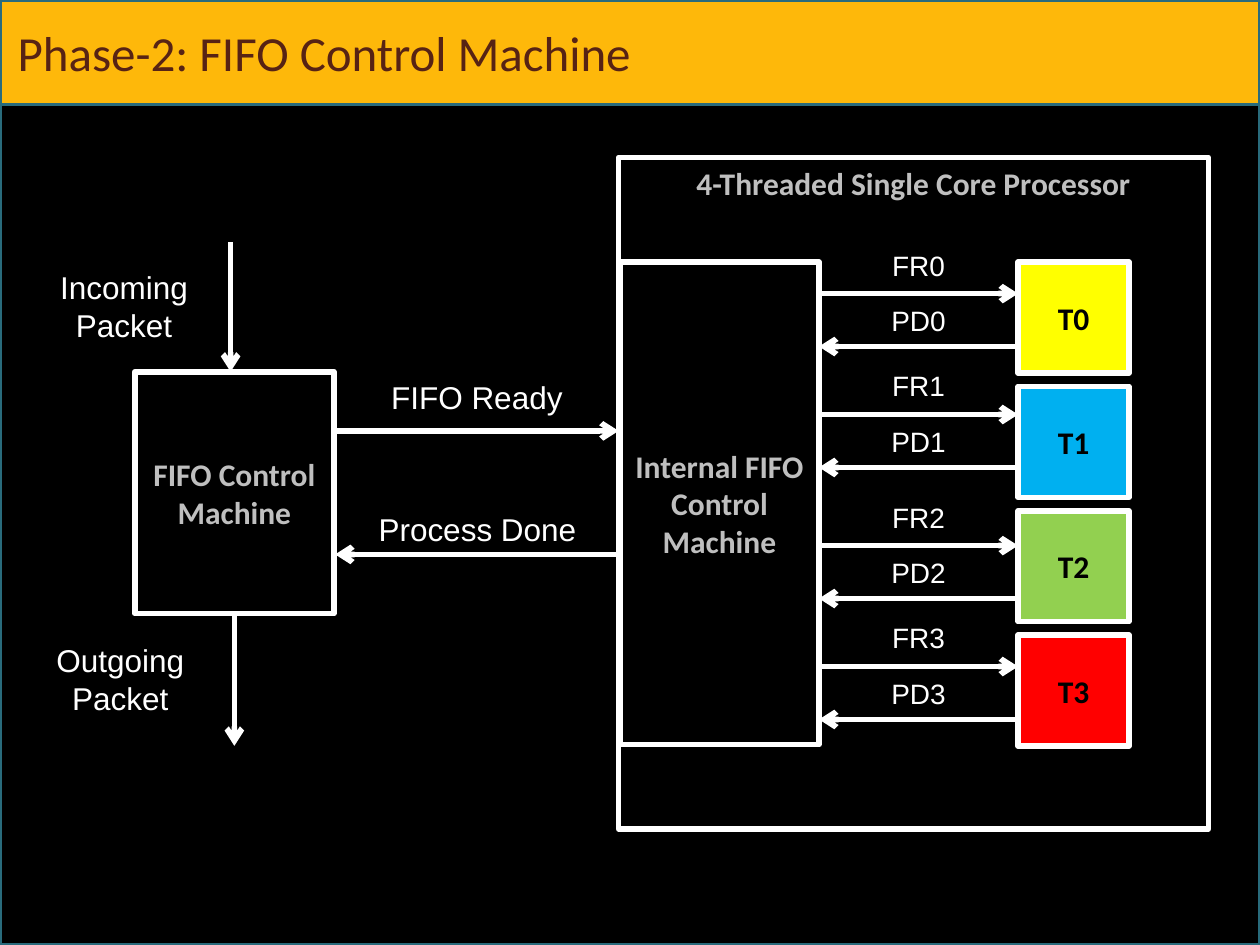
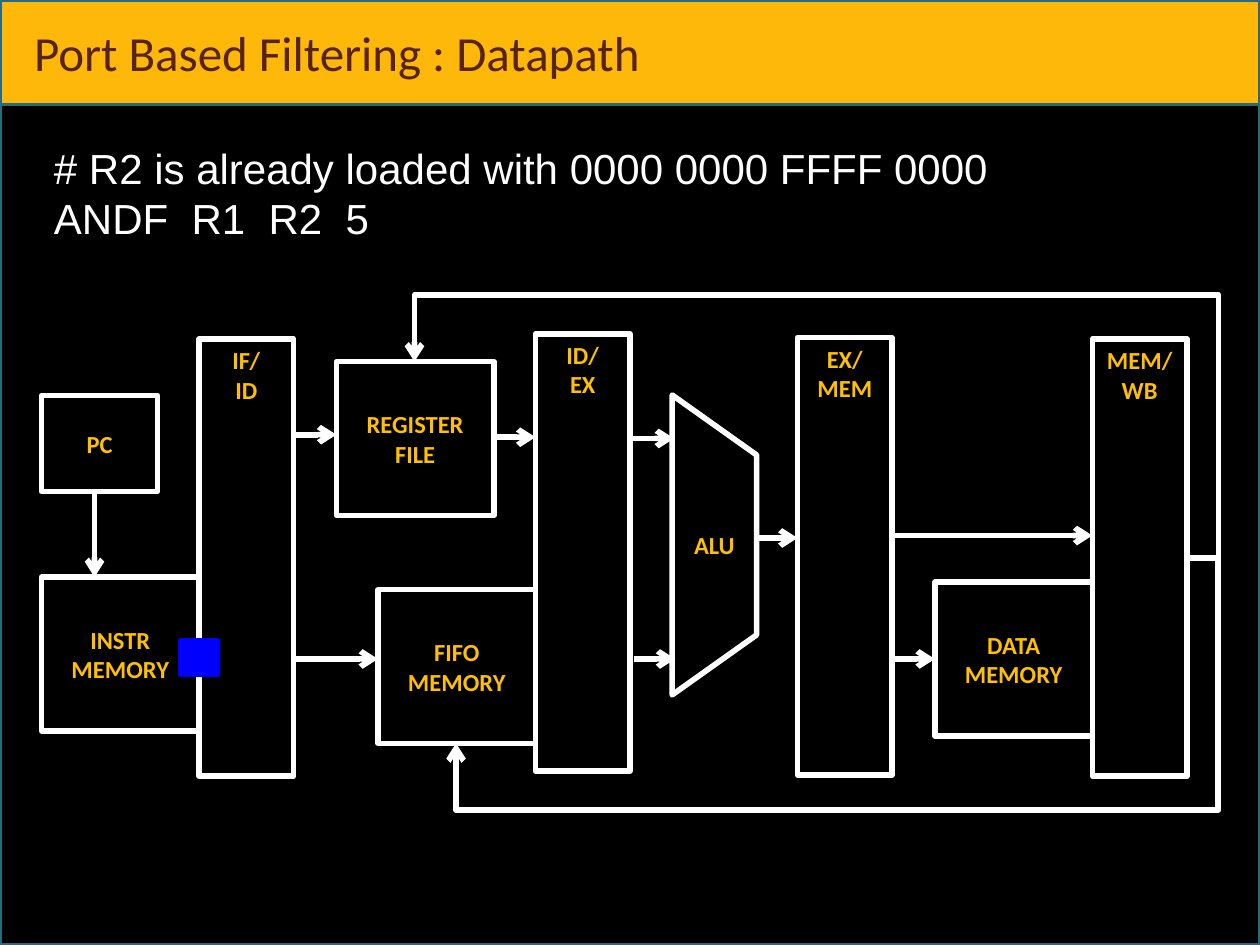
from dataclasses import dataclass

from lxml.etree import SubElement
from pptx import Presentation
from pptx.dml.color import RGBColor
from pptx.enum.shapes import MSO_CONNECTOR as Connector, MSO_SHAPE as Shape
from pptx.enum.text import MSO_ANCHOR as Anchor, PP_ALIGN as Align
from pptx.oxml.ns import qn
from pptx.util import Inches, Pt


@dataclass(frozen=True)
class Theme:
    background: str = "000000"
    band: str = "FEB80A"
    frame: str = "296B7C"
    title: str = "572314"
    line: str = "FFFFFF"
    label: str = "FFFFFF"
    machine: str = "BFBFBF"
    thread: str = "000000"
    stage: str = "FFC000"
    marker: str = "0000FF"
    heading_font: str = "Calibri"
    label_font: str = "Arial"
    title_size: float = 28
    code_size: float = 24
    text_size: float = 18
    signal_size: float = 16
    stage_size: float = 14
    line_width: float = 3.2
    frame_width: float = 2


THEME = Theme()
SLIDE_SIZE = (10, 7.5)
BAND_HEIGHT = 0.83

FIFO_TITLE = ("Phase-2: FIFO Control Machine", 0.04, 8.2)
MACHINES = [
    ("4-Threaded Single Core Processor", (4.91, 1.25, 4.68, 5.33), Anchor.TOP),
    ("FIFO Control Machine", (1.07, 2.95, 1.58, 1.92), Anchor.MIDDLE),
    ("Internal FIFO Control Machine", (4.92, 2.08, 1.58, 3.83), Anchor.MIDDLE),
]
PACKET_LABELS = [
    ("FIFO Ready", (2.66, 2.95, 2.25, 0.4)),
    ("Process Done", (2.66, 4, 2.26, 0.4)),
    ("Incoming Packet", (0.11, 2.08, 1.75, 0.71)),
    ("Outgoing Packet", (0.08, 5.04, 1.75, 0.71)),
]
PACKET_ARROWS = [
    ((2.66, 3.42), (4.91, 3.42)),
    ((4.91, 4.4), (2.66, 4.4)),
    ((1.83, 1.92), (1.83, 2.95)),
    ((1.86, 4.88), (1.86, 5.92)),
]
THREADS = [("FFFF00", 2.33), ("00B0F0", 3.29), ("92D050", 4.33), ("FF0000", 5.29)]
THREAD_LEFT, THREAD_TOP, THREAD_SIZE, THREAD_PITCH = 8.08, 2.08, 0.88, 0.987
SIGNAL_LEFT, SIGNAL_HEIGHT = 6.5, 0.37
READY_LABEL_RISE, DONE_LABEL_DROP, DONE_DROP = 0.41, 0.03, 0.42

DATAPATH_TITLE = ("Port Based Filtering : Datapath", 0.17, 9.75)
CODE_LINES = ["# R2 is already loaded with 0000 0000 FFFF 0000", "ANDF  R1  R2  5"]
CODE_AREA = (0.33, 1.08, 7.92, 0.91)
REGISTER_SIZE = (0.75, 3.47)
PIPELINE_REGISTERS = [
    (["IF/", "ID"], 1.58, 2.69),
    (["ID/", "EX"], 4.25, 2.65),
    (["EX/", "MEM"], 6.33, 2.68),
    (["MEM/WB"], 8.67, 2.69),
]
UNIT_SIZE = (1.25, 1.22)
UNITS = [
    ("FIFO MEMORY", 3, 4.68, UNIT_SIZE),
    ("REGISTER FILE", 2.67, 2.87, UNIT_SIZE),
    ("DATA MEMORY", 7.42, 4.62, UNIT_SIZE),
    ("INSTR MEMORY", 0.33, 4.58, UNIT_SIZE),
    ("PC", 0.33, 3.14, (0.92, 0.76)),
]
ALU_AREA = (4.48, 3.99, 2.38, 0.67)
MARKER_AREA = (1.43, 5.08, 0.3, 0.28)
DATAPATH_ARROWS = [
    ((0.75, 3.9), (0.75, 4.58)),
    ((2.33, 5.23), (3, 5.23)),
    ((2.33, 3.45), (2.67, 3.45)),
    ((3.92, 3.47), (4.25, 3.47)),
    ((5.02, 3.48), (5.35, 3.48)),
    ((5.03, 5.23), (5.36, 5.23)),
    ((6, 4.27), (6.33, 4.27)),
    ((7.08, 5.23), (7.42, 5.23)),
    ((7.08, 4.25), (8.67, 4.25)),
]
WRITE_BACK_START = (9.42, 4.43)
WRITE_BACK_RIGHT = 9.67
WRITE_BACKS = [((3.29, 2.87), 2.34), ((3.62, 5.9), 6.43)]


def color(value):
    return RGBColor.from_string(value)


def write(shape, lines, size, ink, font, bold=False, align=Align.CENTER, anchor=Anchor.MIDDLE):
    frame = shape.text_frame
    frame.word_wrap = True
    frame.vertical_anchor = anchor
    for index, line in enumerate(lines):
        paragraph = frame.add_paragraph() if index else frame.paragraphs[0]
        paragraph.alignment = align
        run = paragraph.add_run()
        run.text = line
        run.font.size = Pt(size)
        run.font.name = font
        run.font.bold = bold
        run.font.color.rgb = color(ink)


def add_box(slide, area, fill=None, line=THEME.line, width=THEME.line_width,
            kind=Shape.FLOWCHART_PROCESS):
    shape = slide.shapes.add_shape(kind, *map(Inches, area))
    shape.shadow.inherit = False
    if fill:
        shape.fill.solid()
        shape.fill.fore_color.rgb = color(fill)
    else:
        shape.fill.background()
    shape.line.color.rgb = color(line)
    shape.line.width = Pt(width)
    return shape


def add_stage(slide, lines, area, anchor=Anchor.MIDDLE, kind=Shape.FLOWCHART_PROCESS):
    shape = add_box(slide, area, THEME.background, kind=kind)
    write(shape, lines, THEME.stage_size, THEME.stage, THEME.heading_font, True, anchor=anchor)
    return shape


def add_label(slide, lines, area, size=THEME.text_size, align=Align.CENTER):
    box = slide.shapes.add_textbox(*map(Inches, area))
    write(box, lines, size, THEME.label, THEME.label_font, align=align, anchor=Anchor.TOP)


def add_arrow(slide, start, end, kind=Connector.STRAIGHT):
    arrow = slide.shapes.add_connector(kind, *map(Inches, start + end))
    arrow.line.color.rgb = color(THEME.line)
    arrow.line.width = Pt(THEME.line_width)
    properties = arrow._element.spPr
    SubElement(properties.find(qn("a:ln")), qn("a:tailEnd"), type="arrow")
    SubElement(properties, qn("a:effectLst"))
    return arrow


def add_write_back(slide, start, end, turn_x, turn_y):
    arrow = add_arrow(slide, start, end, Connector.ELBOW)
    geometry = arrow._element.spPr.find(qn("a:prstGeom"))
    geometry.set("prst", "bentConnector4")
    guides = geometry.find(qn("a:avLst"))
    turns = zip((turn_x, turn_y), start, end)
    for number, (turn, first, last) in enumerate(turns, 1):
        ratio = round((turn - first) / (last - first) * 100000)
        SubElement(guides, qn("a:gd"), name=f"adj{number}", fmla=f"val {ratio}")


def add_slide(presentation, text, left, width):
    slide = presentation.slides.add_slide(presentation.slide_layouts[5])
    for height, fill in ((SLIDE_SIZE[1], THEME.background), (BAND_HEIGHT, THEME.band)):
        add_box(slide, (0, 0, SLIDE_SIZE[0], height), fill, THEME.frame,
                THEME.frame_width, Shape.RECTANGLE)
    title = slide.shapes.title
    slide.shapes._spTree.append(title._element)
    title.left, title.top = Inches(left), Inches(0)
    title.width, title.height = Inches(width), Inches(BAND_HEIGHT)
    write(title, [text], THEME.title_size, THEME.title, THEME.heading_font, align=Align.LEFT)
    return slide


def build_fifo_slide(presentation):
    slide = add_slide(presentation, *FIFO_TITLE)
    for text, area, anchor in MACHINES:
        write(add_box(slide, area), [text], THEME.text_size, THEME.machine,
              THEME.heading_font, True, anchor=anchor)
    for text, area in PACKET_LABELS:
        add_label(slide, [text], area)
    for start, end in PACKET_ARROWS:
        add_arrow(slide, start, end)

    signal_width = THREAD_LEFT - SIGNAL_LEFT
    for index, (fill, ready_y) in enumerate(THREADS):
        top = THREAD_TOP + index * THREAD_PITCH
        thread = add_box(slide, (THREAD_LEFT, top, THREAD_SIZE, THREAD_SIZE), fill)
        write(thread, [f"T{index}"], THEME.text_size, THEME.thread, THEME.heading_font, True)
        done_y = ready_y + DONE_DROP
        add_arrow(slide, (SIGNAL_LEFT, ready_y), (THREAD_LEFT, ready_y))
        add_arrow(slide, (THREAD_LEFT, done_y), (SIGNAL_LEFT, done_y))
        for name, label_y in (("FR", ready_y - READY_LABEL_RISE),
                              ("PD", ready_y + DONE_LABEL_DROP)):
            add_label(slide, [f"{name}{index}"],
                      (SIGNAL_LEFT, label_y, signal_width, SIGNAL_HEIGHT), THEME.signal_size)


def build_datapath_slide(presentation):
    slide = add_slide(presentation, *DATAPATH_TITLE)
    for lines, left, top in PIPELINE_REGISTERS:
        add_stage(slide, lines, (left, top, *REGISTER_SIZE), Anchor.TOP)
    for text, left, top, size in UNITS:
        add_stage(slide, [text], (left, top, *size))
    alu = add_stage(slide, ["ALU"], ALU_AREA, kind=Shape.FLOWCHART_MANUAL_OPERATION)
    alu.rotation = 270
    alu.text_frame._txBody.bodyPr.set("vert", "vert")
    for start, end in DATAPATH_ARROWS:
        add_arrow(slide, start, end)
    for end, turn_y in WRITE_BACKS:
        add_write_back(slide, WRITE_BACK_START, end, WRITE_BACK_RIGHT, turn_y)
    add_label(slide, CODE_LINES, CODE_AREA, THEME.code_size, Align.LEFT)
    add_box(slide, MARKER_AREA, THEME.marker, THEME.marker, THEME.frame_width, Shape.RECTANGLE)


def main():
    presentation = Presentation()
    presentation.slide_width, presentation.slide_height = map(Inches, SLIDE_SIZE)
    build_fifo_slide(presentation)
    build_datapath_slide(presentation)
    presentation.save("out.pptx")


if __name__ == "__main__":
    main()
